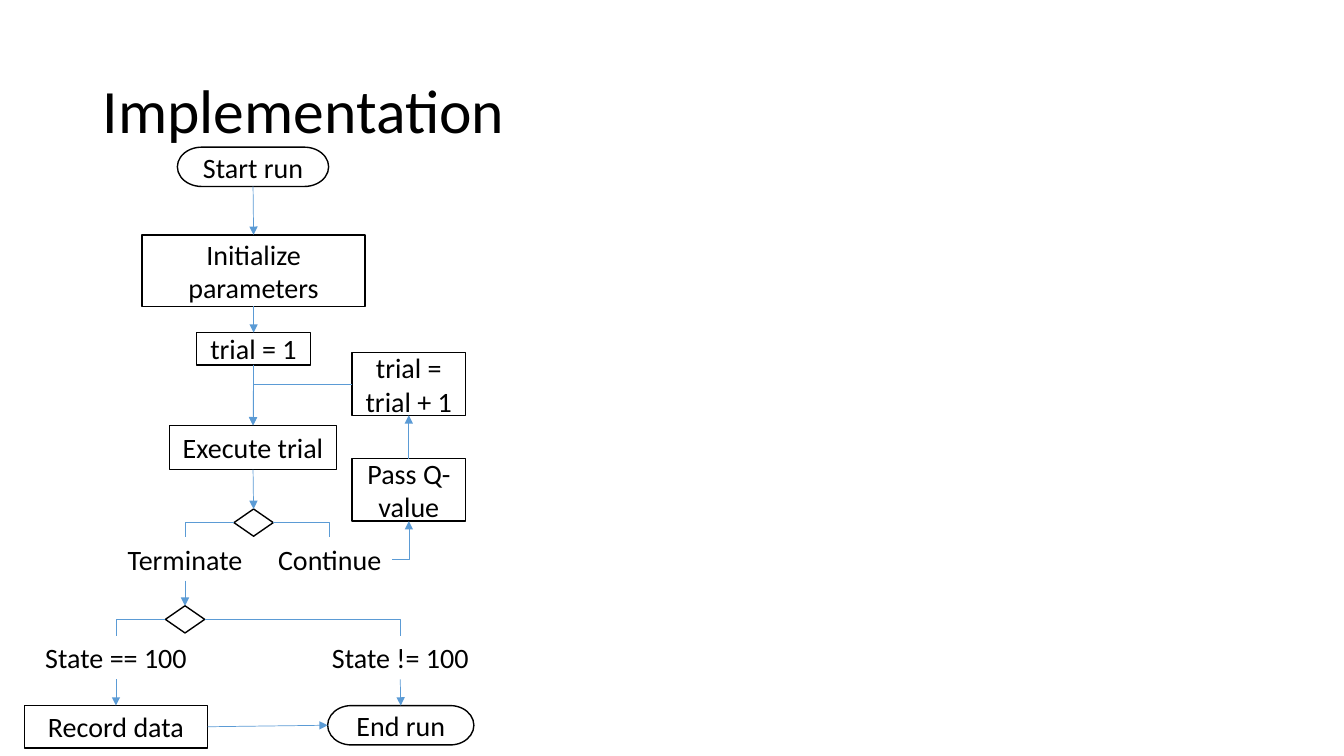
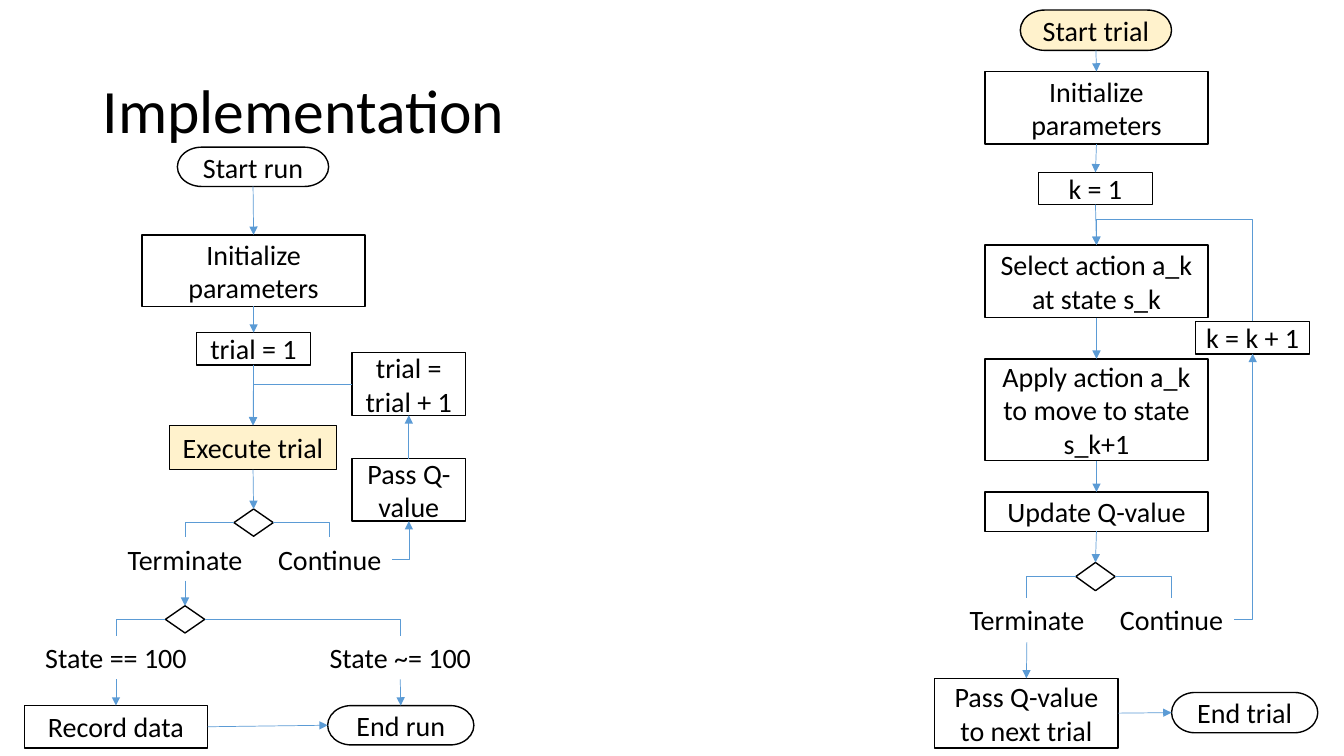
from pptx import Presentation
from pptx.dml.color import RGBColor
from pptx.enum.shapes import MSO_CONNECTOR, MSO_SHAPE
from pptx.enum.text import MSO_ANCHOR, MSO_AUTO_SIZE, PP_ALIGN
from pptx.oxml.ns import qn
from pptx.util import Pt
from lxml import etree

PX = 9144  # 100 px to the inch
FONT = "Calibri"
COLORS = {"text": "000000", "box": "FFFFFF", "highlight": "FFF2CC", "link": "5B9BD5"}
PRESETS = {
    "process": MSO_SHAPE.FLOWCHART_PROCESS,
    "decision": MSO_SHAPE.FLOWCHART_DECISION,
    "terminal": MSO_SHAPE.FLOWCHART_TERMINATOR,
}
TOP, LEFT, BOTTOM, RIGHT = range(4)
LOOP_RISE = 25 * PX  # height of a loop above the box it returns to

# Flow of a run: name -> kind, text, left, top, width, height
RUN_NODES = {
    "start": ("terminal", "Start run", 176, 146, 150, 39),
    "init": ("process", "Initialize parameters", 141, 233, 221, 71),
    "first": ("process", "trial = 1", 195, 330, 113, 32),
    "execute": ("process", "Execute trial", 168, 422, 166, 44),
    "pass": ("process", "Pass Q-value", 349, 455, 113, 62),
    "next": ("process", "trial = trial + 1", 349, 350, 113, 62),
    "done?": ("decision", "", 232, 505, 39, 27),
    "continue": ("label", "Continue", 265, 533, 124, 43),
    "terminate": ("label", "Terminate", 116, 533, 135, 43),
    "goal?": ("decision", "", 164, 601, 39, 27),
    "goal": ("label", "State == 100", 34, 631, 162, 43),
    "no goal": ("label", "State != 100", 316, 631, 162, 43),
    "record": ("process", "Record data", 24, 700, 182, 42),
    "end": ("terminal", "End run", 325, 700, 145, 39),
}
# Links: from, side, to, side, arrowhead
RUN_LINKS = [
    ("start", BOTTOM, "init", TOP, True),
    ("init", BOTTOM, "first", TOP, True),
    ("first", BOTTOM, "execute", TOP, True),
    ("execute", BOTTOM, "done?", TOP, True),
    ("done?", LEFT, "terminate", TOP, False),
    ("done?", RIGHT, "continue", TOP, False),
    ("continue", RIGHT, "pass", BOTTOM, True),
    ("pass", TOP, "next", BOTTOM, True),
    ("next", LEFT, "execute", TOP, True),
    ("terminate", BOTTOM, "goal?", TOP, True),
    ("goal?", LEFT, "goal", TOP, False),
    ("goal?", RIGHT, "no goal", TOP, False),
    ("goal", BOTTOM, "record", TOP, True),
    ("no goal", BOTTOM, "end", TOP, True),
    ("record", RIGHT, "end", LEFT, True),
]

# Flow of a trial
TRIAL_NODES = {
    "start": ("terminal", "Start trial", 1012, 10, 150, 40),
    "init": ("process", "Initialize parameters", 977, 71, 221, 72),
    "first": ("process", "k = 1", 1030, 171, 113, 32),
    "select": ("process", "Select action a_k at state s_k", 977, 243, 221, 72),
    "apply": ("process", "Apply action a_k to move to state s_k+1", 977, 356, 221, 101),
    "update": ("process", "Update Q-value", 977, 488, 221, 39),
    "done?": ("decision", "", 1067, 558, 39, 28),
    "continue": ("label", "Continue", 1100, 593, 124, 44),
    "terminate": ("label", "Terminate", 951, 593, 135, 44),
    "next": ("process", "k = k + 1", 1186, 319, 113, 32),
    "pass": ("process", "Pass Q-value to next trial", 927, 673, 182, 69),
    "end": ("terminal", "End trial", 1162, 687, 145, 40),
}
TRIAL_LINKS = [
    ("start", BOTTOM, "init", TOP, True),
    ("init", BOTTOM, "first", TOP, True),
    ("first", BOTTOM, "select", TOP, True),
    ("select", BOTTOM, "apply", TOP, True),
    ("apply", BOTTOM, "update", TOP, True),
    ("update", BOTTOM, "done?", TOP, True),
    ("done?", LEFT, "terminate", TOP, False),
    ("done?", RIGHT, "continue", TOP, False),
    ("continue", RIGHT, "next", BOTTOM, True),
    ("next", TOP, "select", TOP, True),
    ("terminate", BOTTOM, "pass", TOP, True),
    ("pass", RIGHT, "end", LEFT, True),
]


def add_node(shapes, kind, text, box, fill):
    box = [v * PX for v in box]
    if kind == "label":
        sp = shapes.add_textbox(*box)
        sp.text_frame.word_wrap = False
        sp.text_frame.auto_size = MSO_AUTO_SIZE.SHAPE_TO_FIT_TEXT
    else:
        sp = shapes.add_shape(PRESETS[kind], *box)
        sp.shadow.inherit = False
        sp.fill.solid()
        sp.fill.fore_color.rgb = RGBColor.from_string(fill)
        sp.line.color.rgb = RGBColor.from_string(COLORS["text"])
        sp.line.width = Pt(1)
    if text:
        sp.text_frame.text = text
        p = sp.text_frame.paragraphs[0]
        p.alignment = PP_ALIGN.CENTER
        p.font.size, p.font.name = Pt(20), FONT
        p.font.color.rgb = RGBColor.from_string(COLORS["text"])
    return sp


def add_link(shapes, a, side_a, b, side_b, arrow):
    (x1, y1), (x2, y2) = [
        (sp.left + sp.width * (side != LEFT) // (1 if side == RIGHT else 2),
         sp.top + sp.height * (side != TOP) // (1 if side == BOTTOM else 2))
        for sp, side in ((a, side_a), (b, side_b))]
    loop = side_a == side_b
    straight = not loop and side_a % 2 == side_b % 2
    if loop:
        # Out of one top and into another: an elbow turned a quarter left
        cx, cy, rise, run = (x1 + x2) // 2, (y1 + y2) // 2, y1 - y2, x1 - x2
        ends = (cx - rise // 2, cy + run // 2, cx + rise // 2, cy - run // 2)
    else:
        ends = (x1, y1, x2, y2)
    c = shapes.add_connector(
        MSO_CONNECTOR.STRAIGHT if straight else MSO_CONNECTOR.ELBOW, *ends)
    spPr = c._element.spPr
    geom = spPr.find(qn("a:prstGeom"))
    if loop:
        spPr.find(qn("a:xfrm")).set("rot", "16200000")
        reach = 100000 * (rise + LOOP_RISE) // rise
        etree.SubElement(geom.find(qn("a:avLst")), qn("a:gd"),
                         name="adj1", fmla=f"val {reach}")
    else:
        if not straight:
            geom.set("prst", "bentConnector2")  # one corner, sideways first
        c.begin_connect(a, side_a)
        c.end_connect(b, side_b)
    c.line.color.rgb = RGBColor.from_string(COLORS["link"])
    c.line.width = Pt(0.5)
    if arrow:
        etree.SubElement(spPr.find(qn("a:ln")), qn("a:tailEnd"), type="triangle")
    etree.SubElement(spPr, qn("a:effectLst"))


prs = Presentation()
prs.slide_width, prs.slide_height = 1333 * PX, 750 * PX

# Each slide: its flows, the highlighted boxes, the wording of the "no goal" branch
run_flow, trial_flow = (RUN_NODES, RUN_LINKS), (TRIAL_NODES, TRIAL_LINKS)
slides = [
    ([run_flow], [], "State != 100"),
    ([trial_flow, run_flow], ["Start trial", "Execute trial"], "State ~= 100"),
]

for flows, highlights, no_goal in slides:
    s = prs.slides.add_slide(prs.slide_layouts[5])

    # Title
    title = s.shapes.title
    title.left, title.top, title.width, title.height = [v * PX for v in (92, 40, 1150, 145)]
    tf = title.text_frame
    tf.text = "Implementation"
    tf.vertical_anchor = MSO_ANCHOR.MIDDLE
    tf.auto_size = MSO_AUTO_SIZE.NONE
    p = tf.paragraphs[0]
    p.alignment, p.line_spacing = PP_ALIGN.LEFT, 0.9
    p.font.size, p.font.name = Pt(44), FONT
    p.font.color.rgb = RGBColor.from_string(COLORS["text"])

    # Flow charts, one group each
    for nodes, links in flows:
        shapes = s.shapes.add_group_shape().shapes
        placed = {}
        for name, (kind, text, *box) in nodes.items():
            fill = COLORS["highlight" if text in highlights else "box"]
            if name == "no goal":
                text = no_goal
            placed[name] = add_node(shapes, kind, text, box, fill)
        for start, side_a, end, side_b, arrow in links:
            add_link(shapes, placed[start], side_a, placed[end], side_b, arrow)

prs.save("out.pptx")
